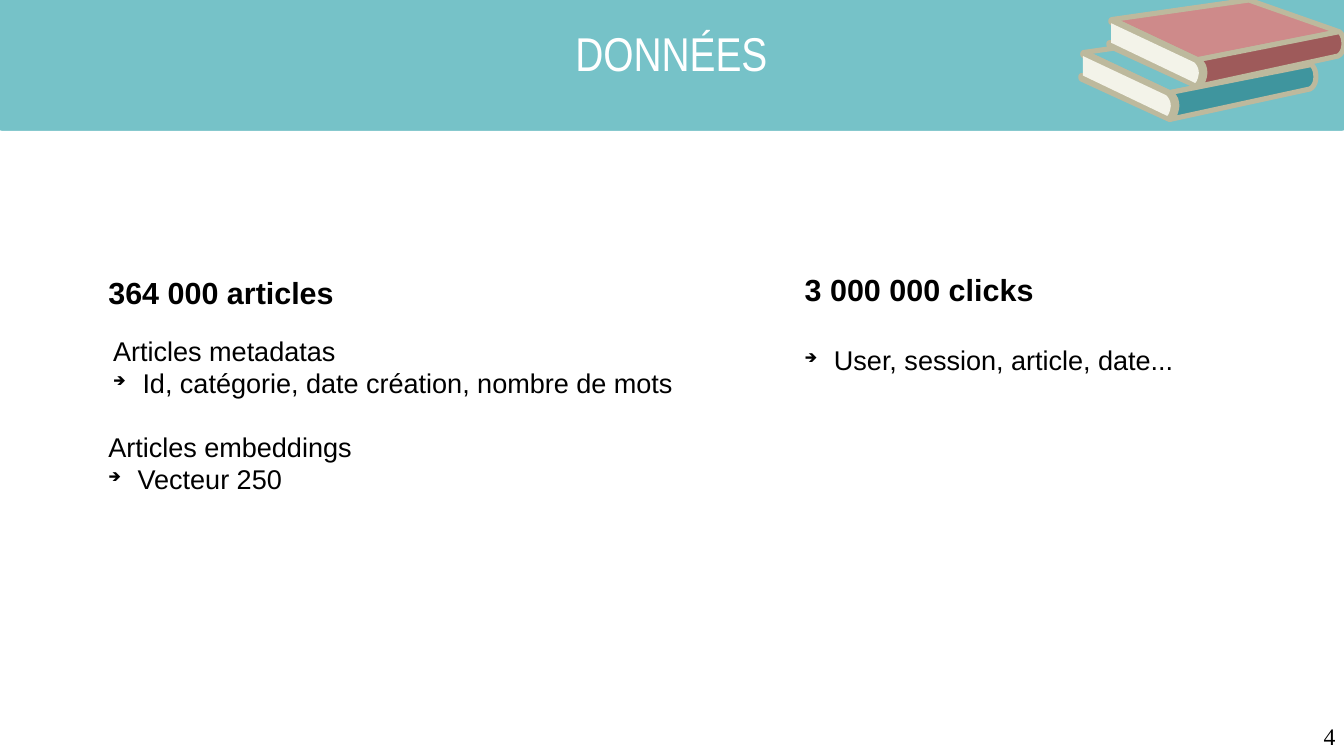
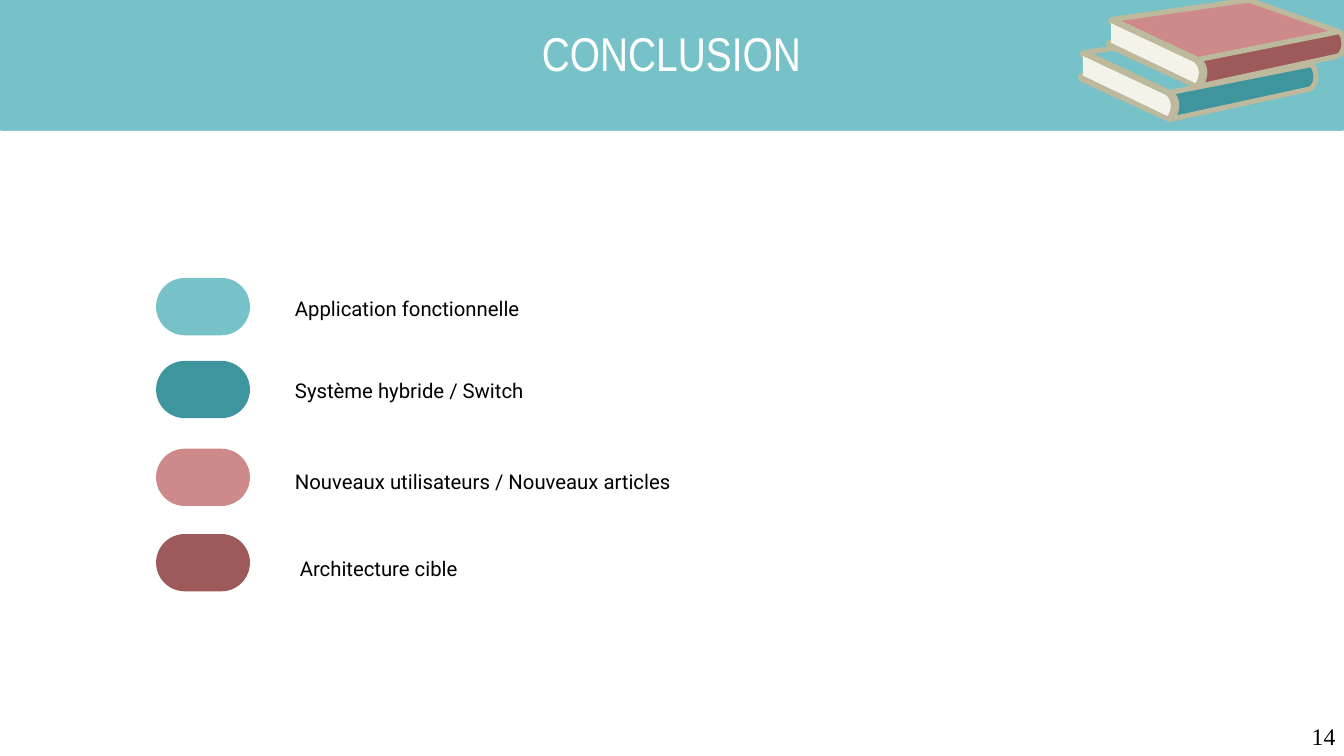
"""Build the data and conclusion slides under a shared book banner."""
from dataclasses import dataclass

from lxml import etree
from pptx import Presentation
from pptx.dml.color import RGBColor
from pptx.enum.shapes import MSO_SHAPE
from pptx.enum.text import MSO_ANCHOR, PP_ALIGN
from pptx.oxml.ns import qn
from pptx.util import Inches, Pt

ROUNDED = MSO_SHAPE.ROUNDED_RECTANGLE
TOP = MSO_ANCHOR.TOP
LEFT, CENTER, RIGHT = PP_ALIGN.LEFT, PP_ALIGN.CENTER, PP_ALIGN.RIGHT


@dataclass(frozen=True)
class Style:
    """A font, its size in points, its colour and weight."""
    font: str
    size: float
    color: str = "000000"
    bold: bool = False


@dataclass(frozen=True)
class Theme:
    """Colours and type styles of the deck."""
    white: str = "FFFFFF"
    sky: str = "76C2C8"
    teal: str = "3F959E"
    rose: str = "CE8A8A"
    wine: str = "9E5A5A"
    sand: str = "BDB99D"
    paper: str = "F3F3E9"
    title: Style = Style("Arial Narrow", 28, "FFFFFF")
    heading: Style = Style("Arial", 18, bold=True)
    body: Style = Style("Arial", 16)
    legend: Style = Style("Roboto", 12)
    number: Style = Style("Times New Roman", 14)


T = Theme()
BULLET = "➔"
INDENT = 0.24
PILL = (0.77, 0.47)

COVER = [(1.15, 0), (0.03, 0.16), (0.73, 0.49), (1.89, 0.26)]
SPINE = [(1.89, 0.26), (0.73, 0.49),
         (0.73, 0.49, 0.77, 0.51, 0.77, 0.6),
         (0.77, 0.67, 0.73, 0.71, 0.73, 0.71),
         (1.88, 0.46),
         (1.88, 0.46, 1.93, 0.44, 1.93, 0.36),
         (1.93, 0.28, 1.89, 0.26, 1.89, 0.26)]
RIM = [(0.03, 0.16),
       (0.02, 0.16, 0.01, 0.18, 0.03, 0.19),
       (0.7, 0.51),
       (0.7, 0.51, 0.75, 0.54, 0.74, 0.61),
       (0.73, 0.67, 0.71, 0.68, 0.71, 0.68),
       (0.02, 0.35), (0.01, 0.35),
       (0, 0.35, 0, 0.37, 0.01, 0.38),
       (0.73, 0.71),
       (0.73, 0.71, 0.78, 0.7, 0.79, 0.6),
       (0.79, 0.51, 0.73, 0.49, 0.73, 0.49)]
PAGES = [(0.02, 0.19), (0.02, 0.35), (0.71, 0.68),
         (0.71, 0.68, 0.73, 0.67, 0.74, 0.6),
         (0.74, 0.54, 0.7, 0.51, 0.7, 0.51)]


def paint(sp, fill, line=None, width=0):
    """Give a shape a flat fill and an optional outline."""
    sp.shadow.inherit = False
    sp.fill.solid()
    sp.fill.fore_color.rgb = RGBColor.from_string(fill)
    if line:
        sp.line.color.rgb = RGBColor.from_string(line)
        sp.line.width = Pt(width)
    else:
        sp.line.fill.background()


def add_rounded(s, box, radius, fill, line=None, width=0):
    """Add a rounded rectangle."""
    sp = s.shapes.add_shape(ROUNDED, *map(Inches, box))
    sp.adjustments[0] = radius
    paint(sp, fill, line, width)


def flatten(outline, steps=8):
    """Turn corners and cubic curves into a list of points."""
    points = [outline[0]]
    for part in outline[1:]:
        if len(part) == 2:
            points.append(part)
            continue
        knots = [points[-1], part[:2], part[2:4], part[4:]]
        for i in range(1, steps + 1):
            t = i / steps
            weights = ((1 - t) ** 3, 3 * t * (1 - t) ** 2, 3 * t * t * (1 - t), t ** 3)
            points.append(tuple(sum(w * k[axis] for w, k in zip(weights, knots))
                                for axis in (0, 1)))
    return points


def add_outline(shapes, left, top, outline, fill, line=None):
    """Add a closed freeform placed from a book's top left corner."""
    points = [(Inches(left + x), Inches(top + y)) for x, y in flatten(outline)]
    builder = shapes.build_freeform(*points[0])
    builder.add_line_segments(points[1:], close=True)
    paint(builder.convert_to_shape(), fill, line, 3)


def add_book(shapes, left, top, cover, spine):
    """Add one book seen from its corner."""
    add_outline(shapes, left, top, COVER, cover, T.sand)
    add_outline(shapes, left, top, SPINE, spine, T.sand)
    add_outline(shapes, left, top, RIM, T.sand, T.sand)
    add_outline(shapes, left, top, PAGES, T.paper)


def set_bullet(p):
    """Give a paragraph a hanging arrow bullet."""
    pPr = p._p.get_or_add_pPr()
    pPr.set("marL", str(Inches(INDENT)))
    pPr.set("indent", str(-Inches(INDENT)))
    color = etree.SubElement(pPr, qn("a:buClr"))
    etree.SubElement(color, qn("a:srgbClr"), val=T.body.color)
    etree.SubElement(pPr, qn("a:buSzPct"), val="45000")
    etree.SubElement(pPr, qn("a:buChar"), char=BULLET)


def add_text(s, box, style, lines, align=LEFT, inset=(0.1, 0.05), bullets=()):
    """Add a text box, with bullets on the lines whose index is listed."""
    tf = s.shapes.add_textbox(*map(Inches, box)).text_frame
    tf.word_wrap = True
    tf.vertical_anchor = TOP
    tf.margin_left = tf.margin_right = Inches(inset[0])
    tf.margin_top = tf.margin_bottom = Inches(inset[1])
    for i, line in enumerate(lines):
        p = tf.add_paragraph() if i else tf.paragraphs[0]
        p.alignment = align
        if i in bullets:
            set_bullet(p)
        r = p.add_run()
        r.text = line
        r.font.name = style.font
        r.font.size = Pt(style.size)
        r.font.bold = style.bold
        r.font.color.rgb = RGBColor.from_string(style.color)


def add_slide(prs, title, number):
    """Add a slide with the banner, its title, the books and the page number."""
    s = prs.slides.add_slide(prs.slide_layouts[6])
    add_rounded(s, (-0.04, -0.04, 11.1, 1.13), 0.05, T.sky, T.white, 2.25)
    add_text(s, (0.21, 0.15, 10.59, 0.26), T.title, [title], CENTER)
    books = s.shapes.add_group_shape().shapes
    add_book(books, 8.86, 0.27, T.sky, T.teal)
    add_book(books, 9.09, 0, T.rose, T.wine)
    add_text(s, (8.38, 5.92, 2.57, 0.43), T.number, [str(number)], RIGHT, (0, 0))
    return s


def build_data(prs):
    """Build the slide that describes the data."""
    s = add_slide(prs, "DONNÉES", 4)
    add_text(s, (0.79, 2.2, 2.36, 0.66), T.heading, ["364 000 articles"])
    add_text(s, (6.5, 2.17, 2.36, 0.66), T.heading, ["3 000 000 clicks"])
    add_text(s, (0.83, 2.69, 5.28, 1.09), T.body,
             ["Articles metadatas", "Id, catégorie, date création, nombre de mots"],
             bullets=(1,))
    add_text(s, (0.79, 3.48, 5.28, 1.09), T.body,
             ["Articles embeddings", "Vecteur 250"], bullets=(1,))
    add_text(s, (6.5, 2.77, 3.94, 0.59), T.body,
             ["User, session, article, date..."], bullets=(0,))


def build_conclusion(prs):
    """Build the closing slide with its coloured pills."""
    s = add_slide(prs, "CONCLUSION", 14)
    rows = [
        (T.sky, 2.28, 2.32, 2.38, "Application fonctionnelle"),
        (T.teal, 2.96, 2.32, 3.05, "Système hybride / Switch"),
        (T.rose, 3.68, 2.32, 3.8, "Nouveaux utilisateurs / Nouveaux articles"),
        (T.wine, 4.38, 2.36, 4.51, "Architecture cible"),
    ]
    for color, pill_top, left, top, label in rows:
        add_rounded(s, (1.28, pill_top, *PILL), 0.5, color)
        add_text(s, (left, top, 5.75, 0.53), T.legend, [label])


def main():
    """Build and save the deck."""
    prs = Presentation()
    prs.slide_width, prs.slide_height = Inches(11.02), Inches(6.2)
    build_data(prs)
    build_conclusion(prs)
    prs.save("out.pptx")


if __name__ == "__main__":
    main()
